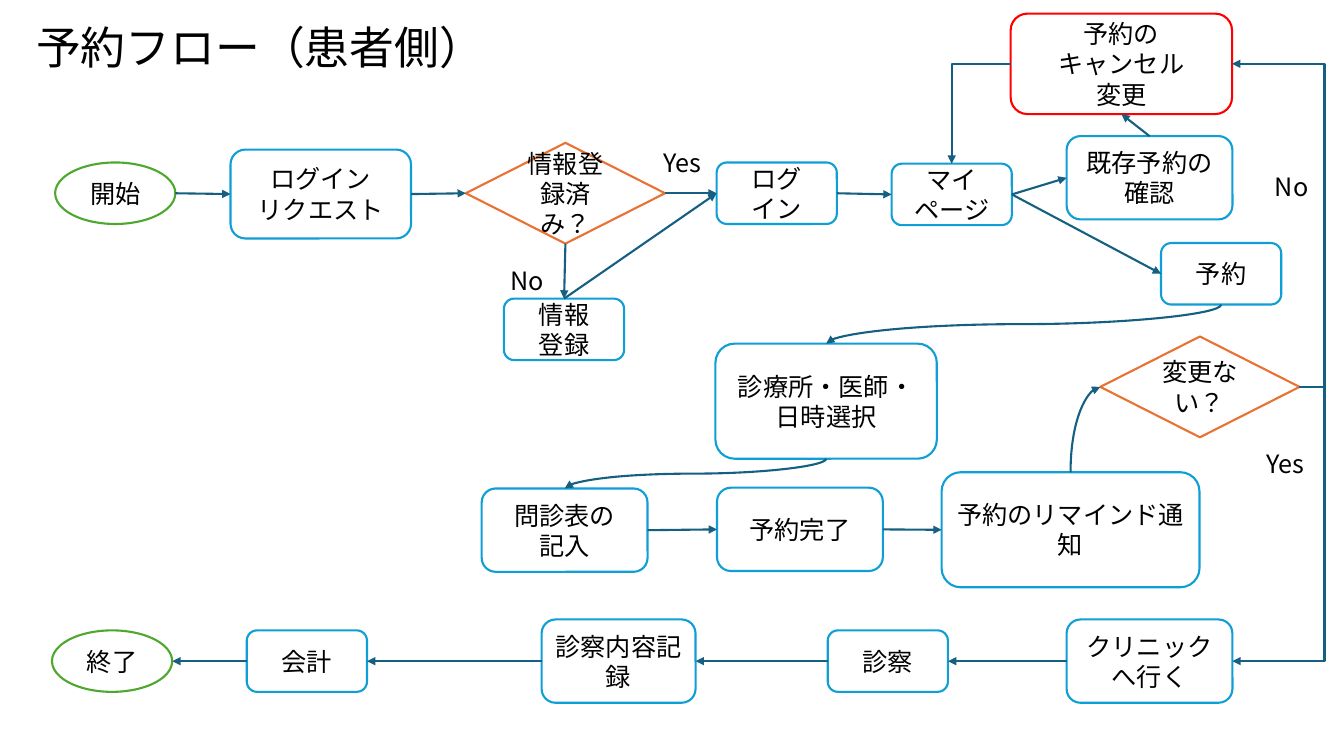
from typing import NamedTuple

from lxml import etree
from pptx import Presentation
from pptx.dml.color import RGBColor
from pptx.enum import lang, shapes, text
from pptx.oxml import ns
from pptx.util import Cm, Pt

FONT = "Noto Sans CJK JP"
BLACK = RGBColor(0x00, 0x00, 0x00)
WHITE = RGBColor(0xFF, 0xFF, 0xFF)
BLUE = RGBColor(0x0F, 0x9E, 0xD5)
GREEN = RGBColor(0x4E, 0xA7, 0x2E)
ORANGE = RGBColor(0xE9, 0x71, 0x32)
RED = RGBColor(0xFF, 0x00, 0x00)
ARROW = RGBColor(0x15, 0x60, 0x82)

STEP = (shapes.MSO_SHAPE.ROUNDED_RECTANGLE, BLUE)
ALERT = (shapes.MSO_SHAPE.ROUNDED_RECTANGLE, RED)
TERMINAL = (shapes.MSO_SHAPE.OVAL, GREEN)
DECISION = (shapes.MSO_SHAPE.DIAMOND, ORANGE)
STRAIGHT, ELBOW, CURVE = (shapes.MSO_CONNECTOR.STRAIGHT, shapes.MSO_CONNECTOR.ELBOW,
                          shapes.MSO_CONNECTOR.CURVE)
TOP, LEFT, BOTTOM, RIGHT = range(4)

# Node sizes in centimetres
SMALL = (3.03, 1.55)
MEDIUM = (4.18, 2.1)
RHOMBUS = (5.02, 2.54)


class Area(NamedTuple):
    """A region of the slide, in centimetres."""
    left: float
    top: float
    width: float
    height: float


def style_text(frame, size, align=None):
    for para in frame.paragraphs:
        para.alignment = align
        for span in para.runs:
            span.font.name = FONT
            span.font.size = Pt(size)
            span.font.color.rgb = BLACK
            # Japanese line breaking and glyphs
            span.font.language_id = lang.MSO_LANGUAGE_ID.JAPANESE
            etree.SubElement(span.font._element, ns.qn("a:ea")).set("typeface", FONT)


def add_node(page, area, kind, label, x, middle, size=SMALL):
    """Place a node at x, centred on the height middle, both within the area."""
    preset, colour = kind
    width, height = size
    box = page.shapes.add_shape(preset, Cm(area.left + x), Cm(area.top + middle - height / 2),
                                Cm(width), Cm(height))
    box.shadow.inherit = False
    box.fill.solid()
    box.fill.fore_color.rgb = WHITE
    box.line.color.rgb = colour
    box.line.width = Pt(1.5)
    frame = box.text_frame
    frame.text = label
    frame.word_wrap = True
    frame.vertical_anchor = text.MSO_ANCHOR.MIDDLE
    style_text(frame, 18, text.PP_ALIGN.CENTER)
    return box


def add_answer(page, area, label, x, y):
    width = 1.6 if label == "Yes" else 1.4
    box = page.shapes.add_textbox(Cm(area.left + x), Cm(area.top + y), Cm(width), Cm(1.02))
    box.text_frame.text = label
    box.text_frame.word_wrap = False
    box.text_frame.auto_size = text.MSO_AUTO_SIZE.SHAPE_TO_FIT_TEXT
    style_text(box.text_frame, 18)


def side_point(box, side):
    x = {LEFT: 0, RIGHT: box.width}.get(side, box.width // 2)
    y = {TOP: 0, BOTTOM: box.height}.get(side, box.height // 2)
    return box.left + x, box.top + y


def finish_arrow(line):
    line.line.color.rgb = ARROW
    line.line.width = Pt(1.5)
    outline = line._element.spPr.find(ns.qn("a:ln"))
    etree.SubElement(outline, ns.qn("a:tailEnd")).set("type", "triangle")
    etree.SubElement(line._element.spPr, ns.qn("a:effectLst"))


def join(page, start, start_side, end, end_side):
    line = page.shapes.add_connector(STRAIGHT, *side_point(start, start_side),
                                     *side_point(end, end_side))
    # Ovals number their connection sites differently, so they stay unjoined
    if start.auto_shape_type != shapes.MSO_SHAPE.OVAL:
        line.begin_connect(start, start_side)
    if end.auto_shape_type != shapes.MSO_SHAPE.OVAL:
        line.end_connect(end, end_side)
    finish_arrow(line)


def join_curve(page, start, start_side, end, end_side, preset):
    """A curve that leaves vertically: a horizontal one, turned a quarter."""
    (x1, y1), (x2, y2) = side_point(start, start_side), side_point(end, end_side)
    length, spread = abs(y2 - y1), abs(x2 - x1)
    left, top = (x1 + x2 - length) // 2, (y1 + y2 - spread) // 2
    line = page.shapes.add_connector(CURVE, left, top, left + length, top + spread)
    geometry = line._element.spPr.find(ns.qn("a:prstGeom"))
    geometry.set("prst", preset)
    quarter = 90 if y2 > y1 else 270
    line._element.spPr.find(ns.qn("a:xfrm")).set("rot", str(quarter * 60000))
    finish_arrow(line)


def join_elbow(page, start, start_side, end, end_side, lane=None):
    """An elbow through the vertical lane, or with a single corner if there is none."""
    begin, finish = side_point(start, start_side), side_point(end, end_side)
    line = page.shapes.add_connector(ELBOW, *begin, *finish)
    geometry = line._element.spPr.find(ns.qn("a:prstGeom"))
    if lane is None:
        geometry.set("prst", "bentConnector2")
    else:
        bend = round((lane - begin[0]) / (finish[0] - begin[0]) * 100000)
        guide = etree.SubElement(geometry.find(ns.qn("a:avLst")), ns.qn("a:gd"))
        guide.set("name", "adj1")
        guide.set("fmla", f"val {bend}")
    finish_arrow(line)


def draw_title(page, area):
    box = page.shapes.add_textbox(*map(Cm, area))
    frame = box.text_frame
    frame.text = "予約フロー（患者側）"
    frame.word_wrap = True
    frame.vertical_anchor = text.MSO_ANCHOR.MIDDLE
    frame.paragraphs[0].line_spacing = 0.9
    style_text(frame, 32)


def draw_login(page, area):
    middle = 1.27
    start = add_node(page, area, TERMINAL, "開始", 0, middle)
    request = add_node(page, area, STEP, "ログイン\nリクエスト", 4.42, middle + 0.02, (4.55, 2.24))
    known = add_node(page, area, DECISION, "情報登録済み？", 10.35, middle, RHOMBUS)
    register = add_node(page, area, STEP, "情報\v登録", 11.31, area.height - 0.78)
    login = add_node(page, area, STEP, "ログ\nイン", 16.67, middle)
    for first, second in ((start, request), (request, known), (known, login)):
        join(page, first, RIGHT, second, LEFT)
    join(page, known, BOTTOM, register, TOP)
    join(page, register, TOP, login, LEFT)
    add_answer(page, area, "Yes", 15.07, 0)
    add_answer(page, area, "No", 11.23, 2.97)
    return login


def draw_my_page(page, area):
    my_page = add_node(page, area, STEP, "マイページ", 0, 4.55)
    existing = add_node(page, area, STEP, "既存予約の確認", 4.41, 4.13, MEDIUM)
    booking = add_node(page, area, STEP, "予約", 6.79, 6.55)
    cancel = add_node(page, area, ALERT, "予約の\nキャンセル\n変更", 3, 1.26, (5.58, 2.53))
    join(page, my_page, RIGHT, existing, LEFT)
    join(page, my_page, RIGHT, booking, LEFT)
    join(page, existing, TOP, cancel, BOTTOM)
    join_elbow(page, cancel, LEFT, my_page, TOP)
    return my_page, booking, cancel


def draw_booking(page, area):
    middle = area.height - 1.45
    choice = add_node(page, area, STEP, "診療所・医師・日時選択", 5.89, 1.63, (5.58, 2.9))
    form = add_node(page, area, STEP, "問診表の\n記入", 0, middle + 0.02, MEDIUM)
    done = add_node(page, area, STEP, "予約完了", 5.93, middle, MEDIUM)
    remind = add_node(page, area, STEP, "予約のリマインド通知", 11.59, middle + 0.01, (6.5, 2.9))
    unchanged = add_node(page, area, DECISION, "変更ない？", 15.59, 1.27, RHOMBUS)
    join_curve(page, choice, BOTTOM, form, TOP, "curvedConnector3")
    join(page, form, RIGHT, done, LEFT)
    join(page, done, RIGHT, remind, LEFT)
    join_curve(page, remind, TOP, unchanged, LEFT, "curvedConnector2")
    return choice, unchanged


def draw_visit(page, area):
    middle = area.height / 2
    steps = [
        add_node(page, area, STEP, "クリニックへ行く", 25.57, middle, MEDIUM),
        add_node(page, area, STEP, "診察", 19.55, middle),
        add_node(page, area, STEP, "診察内容記録", 12.34, middle, (3.88, 2.1)),
        add_node(page, area, STEP, "会計", 4.91, middle),
        add_node(page, area, TERMINAL, "終了", 0, middle),
    ]
    for first, second in zip(steps, steps[1:]):
        join(page, first, LEFT, second, RIGHT)
    return steps[0]


def draw_links(page, area, login, my_page, booking, choice, unchanged, cancel, clinic):
    """Arrows between the regions, with the return lane at the right edge of the area."""
    join(page, login, RIGHT, my_page, LEFT)
    join_curve(page, booking, BOTTOM, choice, TOP, "curvedConnector3")
    for target in (cancel, clinic):
        join_elbow(page, unchanged, RIGHT, target, RIGHT, Cm(area.left + area.width))
    add_answer(page, area, "No", 0.21, 2.59)
    add_answer(page, area, "Yes", 0, 9.57)


def main():
    deck = Presentation()
    deck.slide_width, deck.slide_height = Cm(33.87), Cm(19.05)
    page = deck.slides.add_slide(deck.slide_layouts[6])
    draw_title(page, Area(0.66, 0.81, 31.27, 0.89))
    login = draw_login(page, Area(1.39, 3.6, 19.7, 5.48))
    my_page, booking, cancel = draw_my_page(page, Area(22.47, 0.35, 9.82, 7.33))
    choice, unchanged = draw_booking(page, Area(12.14, 8.48, 20.61, 6.31))
    clinic = draw_visit(page, Area(1.31, 15.61, 29.75, 2.1))
    draw_links(page, Area(31.67, 1.6, 1.71, 15.06),
               login, my_page, booking, choice, unchanged, cancel, clinic)
    deck.save("out.pptx")


if __name__ == "__main__":
    main()
